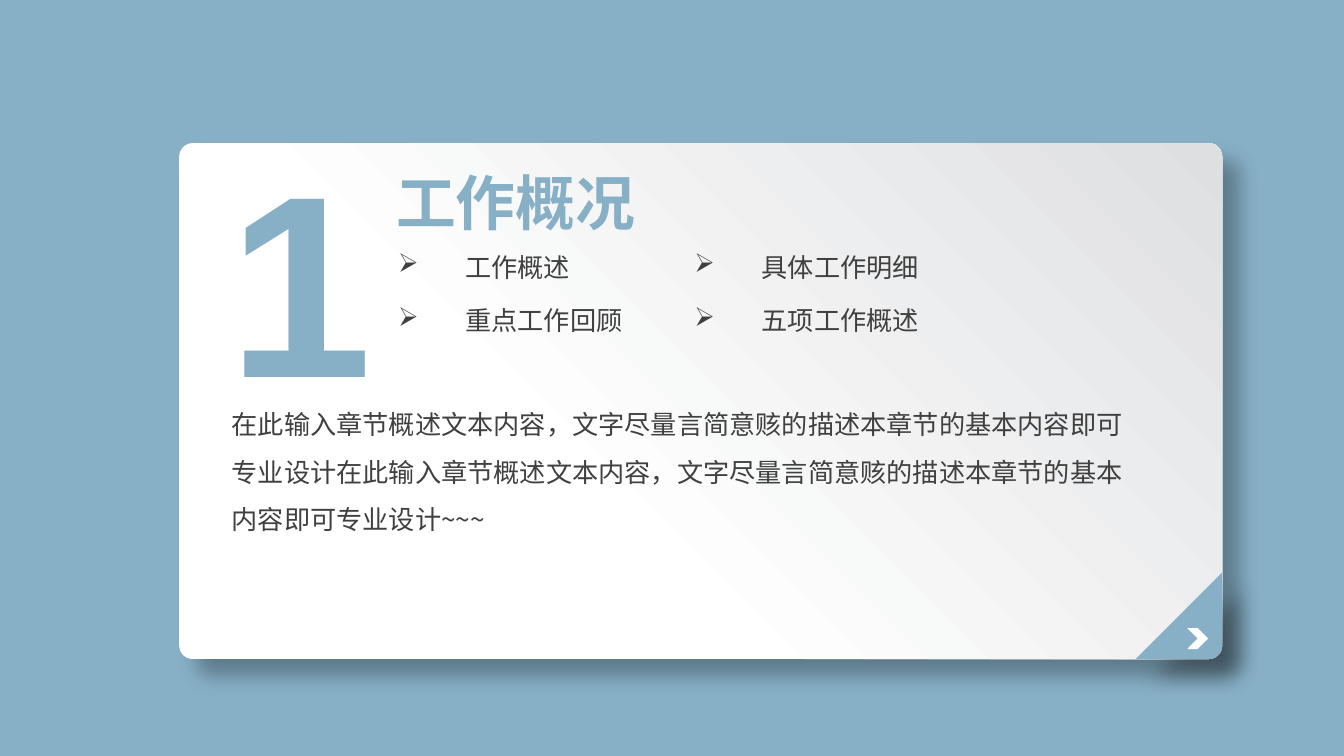
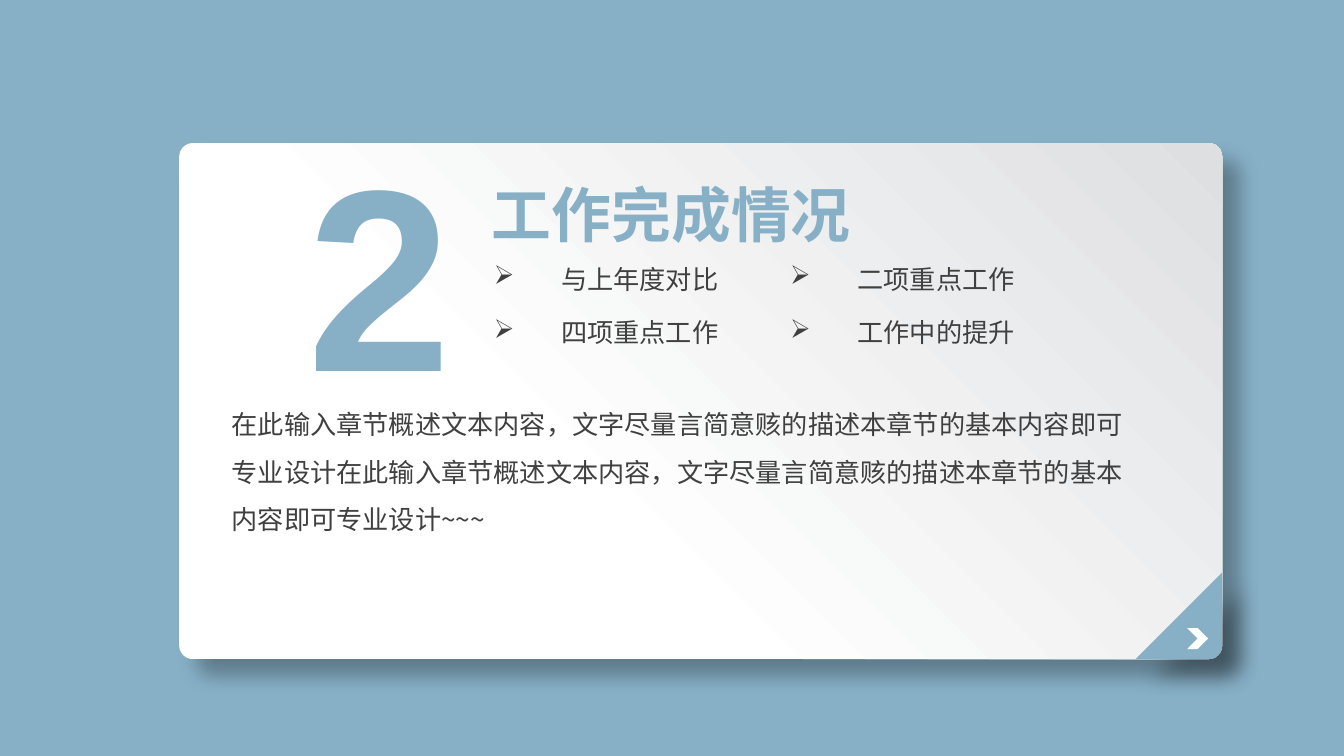
from math import cos, radians, sin

from lxml.etree import SubElement
from pptx import Presentation
from pptx.dml.color import RGBColor
from pptx.enum.shapes import MSO_SHAPE
from pptx.enum.text import MSO_ANCHOR, MSO_AUTO_SIZE, PP_ALIGN
from pptx.oxml.ns import qn
from pptx.util import Pt

BLUE, WHITE, GREY, INK = "87B0C7", "FFFFFF", "DEDFE1", "404040"
LATIN, CHINESE = "Arial", "Noto Sans CJK SC"
CARD = (128, 102.2, 745, 368.6)
RADIUS = 9.7
CORNER = 62
INDENT = 48
COLUMN_GAP, ROW_GAP = 211.7, 38.2

NUMBER = {"size": Pt(185), "bold": True, "name": LATIN}
HEADING = {"size": Pt(42.7), "bold": True, "name": CHINESE}
BODY = {"size": Pt(18.7), "bold": False, "name": CHINESE}

SUMMARY = "在此输入章节概述文本内容，文字尽量言简意赅的描述本章节的基本内容即可专业设计" * 2 + "~~~"
CHAPTERS = [
    {
        "number": "1",
        "number_at": (156.2, 81.4),
        "title": "工作概况",
        "title_at": (275.8, 114.5),
        "topics": ["工作概述", "具体工作明细", "重点工作回顾", "五项工作概述"],
    },
    {
        "number": "2",
        "number_at": (212.4, 77),
        "title": "工作完成情况",
        "title_at": (344.2, 123.1),
        "topics": ["与上年度对比", "二项重点工作", "四项重点工作", "工作中的提升"],
    },
]


def color(value):
    return RGBColor.from_string(value)


def points(*values):
    return [Pt(value) for value in values]


def apply_format(target, values):
    for name, value in values.items():
        setattr(target, name, value)


def paint(shape, fill):
    shape.shadow.inherit = False
    shape.fill.solid()
    shape.fill.fore_color.rgb = color(fill)
    shape.line.fill.background()


def cast_shadow(shape):
    effects = shape.element.spPr.find(qn("a:effectLst"))
    shadow = SubElement(effects, qn("a:outerShdw"), blurRad=str(Pt(15)),
                        dist=str(Pt(18)), dir="2700000", algn="tl", rotWithShape="0")
    tone = SubElement(shadow, qn("a:srgbClr"), val="000000")
    SubElement(tone, qn("a:alpha"), val="30000")


def shade_from_top_right(shape):
    shape.fill.gradient()
    for stop, (place, tone) in zip(shape.fill.gradient_stops, [(0, GREY), (0.64, WHITE)]):
        stop.position = place
        stop.color.rgb = color(tone)
    gradient = shape.element.spPr.find(qn("a:gradFill"))
    gradient.remove(gradient.find(qn("a:lin")))
    route = SubElement(gradient, qn("a:path"), path="circle")
    SubElement(route, qn("a:fillToRect"), l="100000", b="100000")


def write(box, text, style, tone, wrap=False, spacing=None, bullet=None):
    frame = box.text_frame
    frame.text = text
    apply_format(frame, {"word_wrap": wrap, "auto_size": MSO_AUTO_SIZE.SHAPE_TO_FIT_TEXT,
                         "vertical_anchor": MSO_ANCHOR.TOP})
    para = frame.paragraphs[0]
    apply_format(para, {"alignment": PP_ALIGN.LEFT, "line_spacing": spacing})
    if bullet:
        properties = para._p.get_or_add_pPr()
        properties.set("marL", str(Pt(INDENT)))
        properties.set("indent", str(-Pt(INDENT)))
        SubElement(properties, qn("a:buChar"), char=bullet)
    span = para.runs[0]
    apply_format(span.font, style)
    span.font.color.rgb = color(tone)
    SubElement(span._r.get_or_add_rPr(), qn("a:ea"), typeface=style["name"])


def add_text(page, box, text, style, tone, **options):
    write(page.shapes.add_textbox(*points(*box)), text, style, tone, **options)


def draw_folded_corner(page, right, bottom):
    arc = [(right - RADIUS + RADIUS * cos(radians(angle)),
            bottom - RADIUS + RADIUS * sin(radians(angle))) for angle in range(0, 91, 15)]
    outline = [points(*spot) for spot in arc + [(right - CORNER, bottom)]]
    builder = page.shapes.build_freeform(Pt(right), Pt(bottom - CORNER))
    builder.add_line_segments(outline, close=True)
    corner = builder.convert_to_shape()
    paint(corner, BLUE)
    cast_shadow(corner)
    chevron = page.shapes.add_shape(MSO_SHAPE.CHEVRON,
                                    *points(right - 25, bottom - 22.2, 15, 15))
    paint(chevron, WHITE)


def draw_card(page, box):
    left, top, width, height = box
    card = page.shapes.add_shape(MSO_SHAPE.ROUNDED_RECTANGLE, *points(*box))
    card.adjustments[0] = RADIUS / height
    paint(card, WHITE)
    shade_from_top_right(card)
    cast_shadow(card)
    draw_folded_corner(page, left + width, top + height)
    add_text(page, (left + 30.4, top + 175, 661, 109.4), SUMMARY, BODY, INK,
             wrap=True, spacing=1.5)
    return card


def place_title(page, card, text, left, top):
    title = page.shapes.title
    size = (len(text) * 42.7 + 15.5, 59)
    for name, value in zip(("left", "top", "width", "height"), points(left, top, *size)):
        setattr(title, name, value)
    write(title, text, HEADING, BLUE)
    card.element.addnext(title.element)


def draw_topics(page, topics, left, top):
    for index, topic in enumerate(topics):
        row, column = divmod(index, 2)
        box = (left + column * COLUMN_GAP, top + row * ROW_GAP,
               len(topic) * 18.7 + INDENT + 15.5, 30.2)
        add_text(page, box, topic, BODY, INK, bullet="➢")


def build_chapter(deck, chapter):
    page = deck.slides.add_slide(deck.slide_layouts[5])
    card = draw_card(page, CARD)
    left, top = chapter["title_at"]
    place_title(page, card, chapter["title"], left, top)
    add_text(page, (*chapter["number_at"], 118, 231), chapter["number"], NUMBER, BLUE)
    draw_topics(page, chapter["topics"], left + 1.5, top + 61.2)


def main():
    deck = Presentation()
    deck.slide_width, deck.slide_height = points(960, 540)
    background = deck.slide_master.background.fill
    background.solid()
    background.fore_color.rgb = color(BLUE)
    for chapter in CHAPTERS:
        build_chapter(deck, chapter)
    deck.save("out.pptx")


if __name__ == "__main__":
    main()
